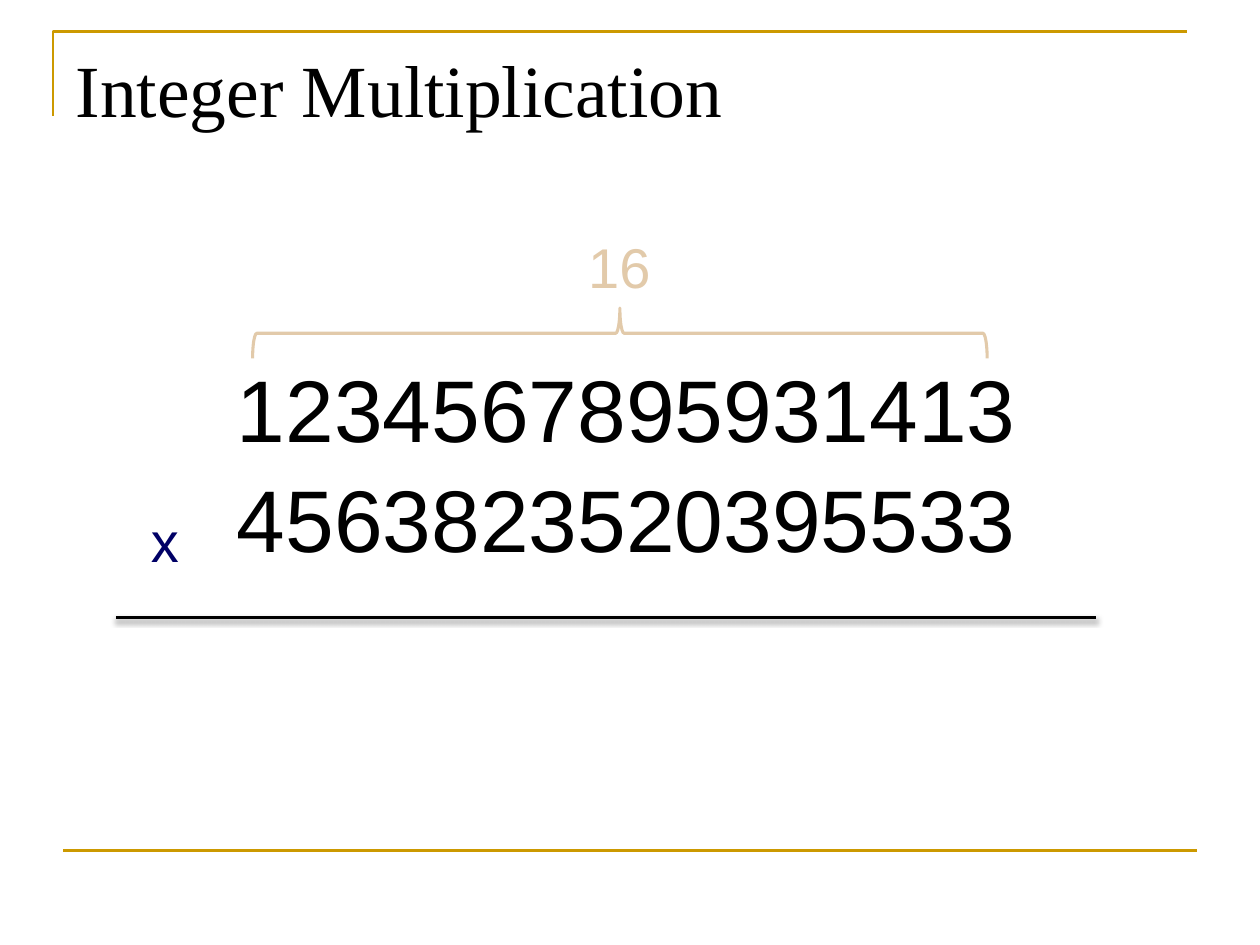
"""Build the Integer Multiplication slide on a grid of 100 columns by 75 rows."""
import pptx
import pptx.dml.color
import pptx.enum.shapes
import pptx.enum.text
import pptx.oxml
import pptx.oxml.ns
import pptx.util

RGBColor = pptx.dml.color.RGBColor
BLACK = RGBColor(0x00, 0x00, 0x00)
GOLD = RGBColor(0xCC, 0x99, 0x00)
NAVY = RGBColor(0x00, 0x00, 0x66)
SAND = RGBColor(0xE2, 0xCA, 0xAA)
SHADOW = ('<a:outerShdw blurRad="39370" dist="22860" dir="5400000" rotWithShape="0">'
          '<a:srgbClr val="000000"><a:alpha val="35000"/></a:srgbClr></a:outerShdw>')

prs = pptx.Presentation()
prs.slide_width = pptx.util.Inches(10)
prs.slide_height = pptx.util.Inches(7.5)
COL = prs.slide_width / 100
ROW = prs.slide_height / 75
s = prs.slides.add_slide(prs.slide_layouts[1])


def grid(x, y, w, h):
    return int(x * COL), int(y * ROW), int(w * COL), int(h * ROW)


def add_run(p, text, size, color, font="Arial"):
    r = p.add_run()
    r.text = text
    r.font.size = pptx.util.Pt(size)
    r.font.name = font
    r.font.color.rgb = color


fb = s.shapes.build_freeform(int(4.2 * COL), int(9.2 * ROW))
fb.add_line_segments([(int(4.2 * COL), int(2.5 * ROW)), (int(94.2 * COL), int(2.5 * ROW))], close=False)
corner = fb.convert_to_shape()
corner.shadow.inherit = False
corner.fill.background()
corner.line.color.rgb = GOLD
corner.line.width = pptx.util.Pt(1.5)

for x1, x2, y, color, width, effect in [
    (5, 95, 67.5, GOLD, 1.5, ""),
    (9.2, 87, 49, BLACK, 1.75, SHADOW),
]:
    line = s.shapes.add_connector(
        pptx.enum.shapes.MSO_CONNECTOR.STRAIGHT,
        int(x1 * COL), int(y * ROW), int(x2 * COL), int(y * ROW))
    line.line.color.rgb = color
    line.line.width = pptx.util.Pt(width)
    line._element.spPr.append(pptx.oxml.parse_xml(
        f'<a:effectLst {pptx.oxml.ns.nsdecls("a")}>{effect}</a:effectLst>'))

title = s.shapes.title
title.left, title.top, title.width, title.height = grid(5, 3, 90, 12.5)
tf = title.text_frame
tf.auto_size = pptx.enum.text.MSO_AUTO_SIZE.NONE
tf.vertical_anchor = pptx.enum.text.MSO_ANCHOR.TOP
p = tf.paragraphs[0]
p.alignment = pptx.enum.text.PP_ALIGN.LEFT
add_run(p, "Integer Multiplication", 42, BLACK, "Times New Roman")

body = s.placeholders[1]
body.left, body.top, body.width, body.height = grid(17.8, 27.3, 64.6, 18.8)
tf = body.text_frame
tf.auto_size = pptx.enum.text.MSO_AUTO_SIZE.NONE
tf.vertical_anchor = pptx.enum.text.MSO_ANCHOR.MIDDLE
for i, number in enumerate(["1234567895931413", "4563823520395533"]):
    p = tf.add_paragraph() if i else tf.paragraphs[0]
    pPr = p._p.get_or_add_pPr()
    pPr.set("marL", "0")
    pPr.set("indent", "0")
    pPr.append(pptx.oxml.parse_xml(f'<a:buNone {pptx.oxml.ns.nsdecls("a")}/>'))
    p.space_before = pptx.util.Pt(2.5 * i)
    add_run(p, number, 50, BLACK)

brace = s.shapes.add_shape(
    pptx.enum.shapes.MSO_SHAPE.RIGHT_BRACE, *grid(47.2, -2.7, 4, 58.3))
brace.rotation = 270
brace.shadow.inherit = False
brace.fill.background()
brace.line.color.rgb = SAND
brace.line.width = pptx.util.Pt(1.75)

for text, x, y, w, color in [("x", 11, 39.7, 4, NAVY), ("16", 45.7, 18, 7, SAND)]:
    label = s.shapes.add_textbox(*grid(x, y, w, 6.4))
    tf = label.text_frame
    tf.word_wrap = False
    tf.auto_size = pptx.enum.text.MSO_AUTO_SIZE.SHAPE_TO_FIT_TEXT
    add_run(tf.paragraphs[0], text, 32, color)

prs.save("out.pptx")
